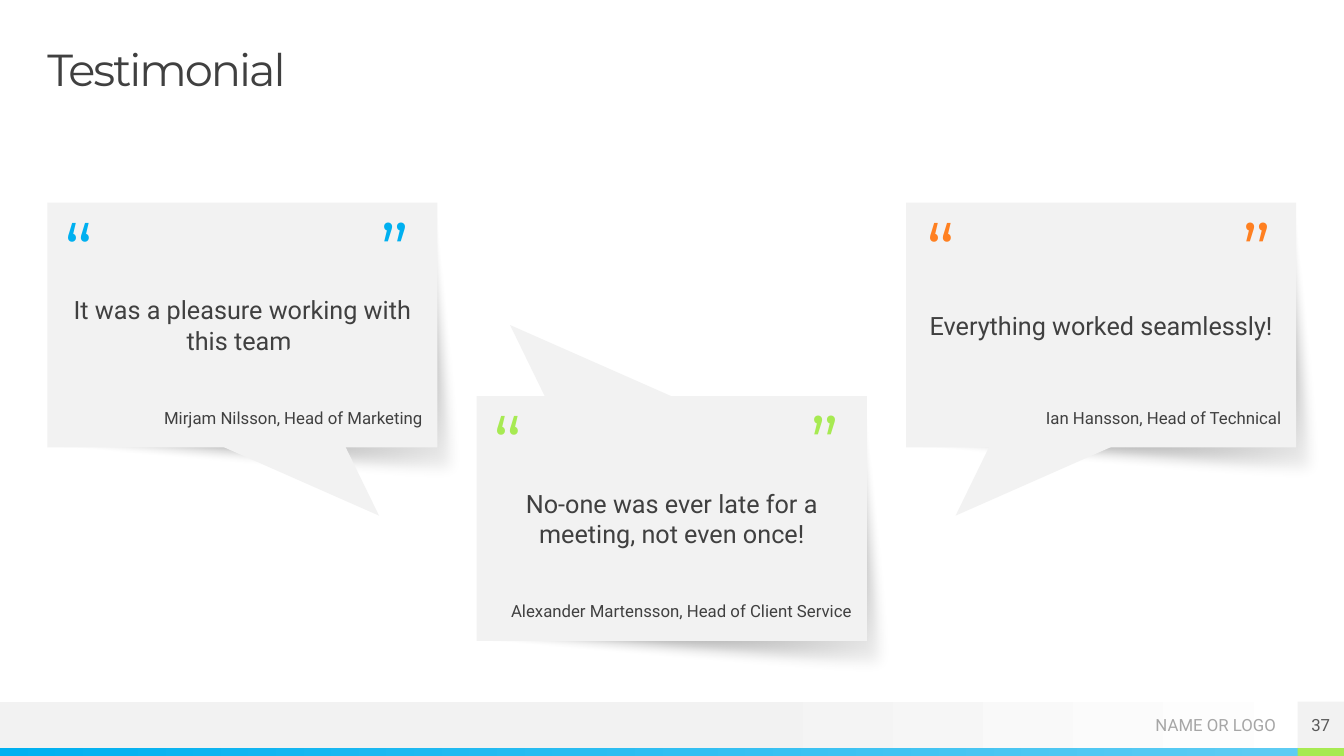
from dataclasses import dataclass

from lxml.etree import SubElement
from pptx import Presentation
from pptx.dml.color import RGBColor
from pptx.enum.shapes import MSO_SHAPE as Preset
from pptx.enum.text import MSO_ANCHOR as Anchor, PP_ALIGN as Align
from pptx.oxml.ns import qn
from pptx.util import Pt

HEADING, BODY = "Montserrat", "Roboto"
INK, PALE = "404040", "F2F2F2"

WIDTH, HEIGHT = 960, 540
MARGIN = 33.84
CARD_WIDTH, CARD_HEIGHT, CARD_PITCH = 278.64, 174.96, 306.72
TAIL_WIDTH, TAIL_HEIGHT = 94.32, 128.88
SHADOW_X, SHADOW_Y = 22, 28
FOOTER_TOP, FOOTER_HEIGHT, STRIPE = 501.12, 33.12, 5.76
NUMBER_LEFT = WIDTH - FOOTER_HEIGHT


@dataclass
class Testimonial:
    quote: str
    author: str
    accent: str
    top: float
    tail_x: float  # tail frame, measured from the card corner
    tail_y: float
    tail_angle: float
    tail_in_front: bool
    mark_inset: float = 12


TESTIMONIALS = [
    Testimonial("It was a pleasure working with this team.",
                "Mirjam Nilsson, Head of Marketing",
                "00B0F0", 144.72, 143.28, 114.48, 133.9, True),
    Testimonial("No-one was ever late for a meeting, not even once!",
                "Alexander Martensson, Head of Client Service",
                "A7EA52", 282.96, 23.04, -70.56, 313.9, False),
    Testimonial("Everything worked seamlessly!",
                "Ian Hansson, Head of Technical",
                "FF8021", 144.72, 34.56, 114.48, 226.1, True, 14.4),
]


def color(value: str) -> RGBColor:
    return RGBColor.from_string(value)


def plain(shape, fill: str):
    shape.shadow.inherit = False
    shape.line.fill.background()
    shape.fill.solid()
    shape.fill.fore_color.rgb = color(fill)
    return shape


def gradient(shape, stops, angle: float = 0) -> None:
    shape.fill.gradient()
    shape.fill.gradient_angle = angle
    for stop, (position, value) in zip(shape.fill.gradient_stops, stops):
        stop.position = position
        stop.color.rgb = color(value)


def add_block(slide, left, top, width, height, fill, preset=Preset.RECTANGLE):
    shape = slide.shapes.add_shape(
        preset, Pt(left), Pt(top), Pt(width), Pt(height))
    return plain(shape, fill)


def write(shape, text: str, *, size: float, font: str = BODY, fill: str = INK,
          align=Align.LEFT, anchor=Anchor.TOP, inset: float = 0,
          line_spacing: float = 1.0, tracking: float = 0) -> None:
    frame = shape.text_frame
    frame.word_wrap = True
    frame.vertical_anchor = anchor
    frame.margin_left = frame.margin_right = Pt(inset)
    frame.margin_top = frame.margin_bottom = Pt(inset)
    paragraph = frame.paragraphs[0]
    paragraph.alignment = align
    paragraph.line_spacing = line_spacing
    run = paragraph.add_run()
    run.text = text
    run.font.size = Pt(size)
    run.font.name = font
    run.font.color.rgb = color(fill)
    if tracking:
        run.font._element.set("spc", str(int(tracking * 100)))


def add_text(slide, left, top, width, height, text: str, **style) -> None:
    box = slide.shapes.add_textbox(Pt(left), Pt(top), Pt(width), Pt(height))
    write(box, text, **style)


def add_shadow(slide, left: float, top: float) -> None:
    right, bottom = left + CARD_WIDTH, top + CARD_HEIGHT
    corners = [(right, top), (right + SHADOW_X, bottom + SHADOW_Y),
               (left, bottom)]
    builder = slide.shapes.build_freeform(Pt(left), Pt(top))
    builder.add_line_segments([(Pt(x), Pt(y)) for x, y in corners], close=True)
    shape = plain(builder.convert_to_shape(), "000000")
    gradient(shape, [(0, "000000"), (1, "000000")], angle=300)
    # Fade to transparent and blur the outline
    properties = shape._element.spPr
    last_color = list(properties.iter(qn("a:srgbClr")))[-1]
    SubElement(last_color, qn("a:alpha"), val="0")
    effects = properties.find(qn("a:effectLst"))
    SubElement(effects, qn("a:softEdge"), rad=str(Pt(10)))


def add_tail(slide, item: Testimonial, left: float) -> None:
    tail = add_block(slide, left + item.tail_x, item.top + item.tail_y,
                     TAIL_WIDTH, TAIL_HEIGHT, PALE, Preset.ISOSCELES_TRIANGLE)
    tail.rotation = item.tail_angle


def add_testimonial(slide, item: Testimonial, left: float) -> None:
    add_shadow(slide, left, item.top)
    if not item.tail_in_front:
        add_tail(slide, item, left)
    card = add_block(slide, left, item.top, CARD_WIDTH, CARD_HEIGHT, PALE)
    write(card, item.quote, size=18, align=Align.CENTER,
          anchor=Anchor.MIDDLE, inset=14.4)
    if item.tail_in_front:
        add_tail(slide, item, left)
    for mark, offset in (("“", 0), ("”", 226.08)):
        add_text(slide, left + item.mark_inset + offset, item.top + 8,
                 38.16, 33.84, mark, size=54, font=HEADING, fill=item.accent,
                 line_spacing=0.9, tracking=-1.5)
    add_text(slide, left + 11.8, item.top + 146.16, 256.32, 18, item.author,
             size=12, align=Align.RIGHT)


def add_footer(slide) -> None:
    band = add_block(slide, 0, FOOTER_TOP, WIDTH, FOOTER_HEIGHT, PALE)
    gradient(band, [(0.53, PALE), (1, "FFFFFF")])
    stripe_top = HEIGHT - STRIPE
    stripe = add_block(slide, 0, stripe_top, NUMBER_LEFT, STRIPE, "00B0F0")
    gradient(stripe, [(0, "00B0F0"), (1, "5ECCF3")])
    add_block(slide, NUMBER_LEFT, stripe_top, FOOTER_HEIGHT, STRIPE, "A7EA52")
    add_text(slide, 750.24, FOOTER_TOP, 161.28, 33.84, "NAME OR LOGO", size=12,
             fill="A6A6A6", align=Align.RIGHT, anchor=Anchor.MIDDLE)
    number = add_block(slide, NUMBER_LEFT, FOOTER_TOP,
                       FOOTER_HEIGHT, FOOTER_HEIGHT, PALE)
    write(number, "37", size=12, fill="595959", align=Align.CENTER,
          anchor=Anchor.MIDDLE)


def main() -> None:
    presentation = Presentation()
    presentation.slide_width, presentation.slide_height = Pt(WIDTH), Pt(HEIGHT)
    slide = presentation.slides.add_slide(presentation.slide_layouts[6])

    add_footer(slide)
    add_text(slide, MARGIN, MARGIN, 892.8, 33.84, "Testimonial", size=32,
             font=HEADING, line_spacing=0.9, tracking=-1.5)
    for index, item in enumerate(TESTIMONIALS):
        add_testimonial(slide, item, MARGIN + index * CARD_PITCH)

    presentation.save("out.pptx")


if __name__ == "__main__":
    main()
